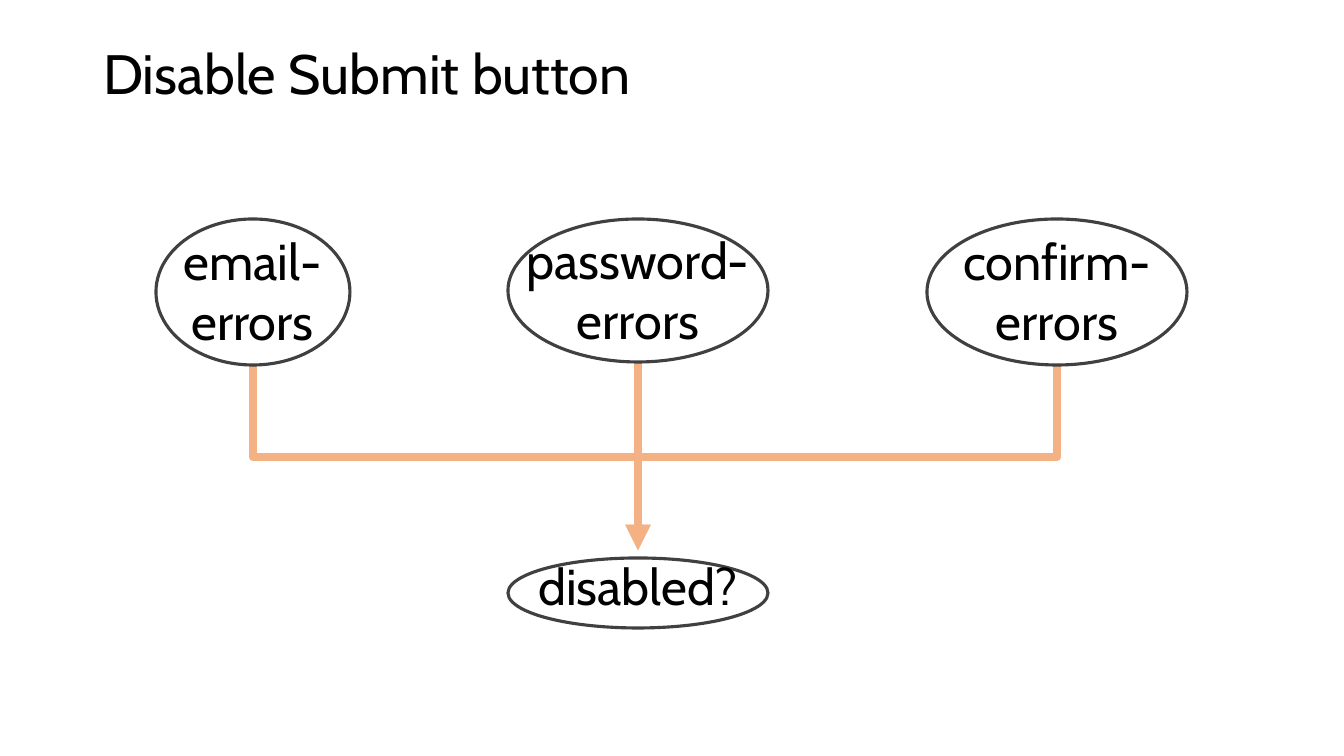
"""Build the slide showing which field errors disable the submit button."""
import pptx
import pptx.dml.color
import pptx.enum.shapes
import pptx.enum.text
import pptx.oxml.ns
import pptx.util
from lxml import etree

PX = 914400 / 100.8
FONT = "Cabin"
BLACK = pptx.dml.color.RGBColor(0x00, 0x00, 0x00)
WHITE = pptx.dml.color.RGBColor(0xFF, 0xFF, 0xFF)
OUTLINE = pptx.dml.color.RGBColor(0x40, 0x40, 0x40)
ORANGE = pptx.dml.color.RGBColor(0xF4, 0xB1, 0x83)

TARGET = (638, 550)
ERROR_FLOWS = [(638, 356), (1057, 364), (253, 364)]
NODES = [
    (["disabled?"], (508, 558, 260, 70), (520, 550, 236, 72), False),
    (["confirm-", "errors"], (927, 219, 260, 146), (939, 225, 236, 132), False),
    (["email-", "errors"], (156, 219, 194, 146), (168, 225, 169, 132), False),
    (["password-", "errors"], (508, 219, 260, 143), (516, 224, 244, 132), True),
]


def px(*lengths):
    """Convert pixel lengths to EMU."""
    return [pptx.util.Emu(round(length * PX)) for length in lengths]


def style_runs(paragraph, size):
    """Give every run of a paragraph the slide's font."""
    for run in paragraph.runs:
        run.font.name = FONT
        run.font.size = pptx.util.Pt(size)
        run.font.color.rgb = BLACK


def add_title(slide, wording):
    """Place and format the slide title."""
    title = slide.shapes.title
    title.left, title.top, title.width, title.height = px(93, 40, 1159, 74)
    frame = title.text_frame
    frame.text = wording
    frame.auto_size = pptx.enum.text.MSO_AUTO_SIZE.NONE
    frame.vertical_anchor = pptx.enum.text.MSO_ANCHOR.MIDDLE
    heading = frame.paragraphs[0]
    heading.alignment = pptx.enum.text.PP_ALIGN.LEFT
    heading.line_spacing = 0.9
    style_runs(heading, 39.6)


def add_flow(slide, start, end):
    """Draw an elbow arrow that leaves its start downwards."""
    (x1, y1), (x2, y2) = start, end
    run, drop = abs(x2 - x1), y2 - y1
    left, top = (x1 + x2 - drop) / 2, (y1 + y2 - run) / 2
    right, bottom = left + drop, top + run
    goes_left = x2 < x1
    near, far = (left, right) if goes_left else (right, left)
    flow = slide.shapes.add_connector(
        pptx.enum.shapes.MSO_CONNECTOR.ELBOW, *px(near, top, far, bottom))
    flow.line.color.rgb = ORANGE
    flow.line.width = pptx.util.Pt(6)
    qn = pptx.oxml.ns.qn
    properties = flow._element.spPr
    properties.find(qn("a:xfrm")).set("rot", "5400000" if goes_left else "16200000")
    etree.SubElement(properties.find(qn("a:ln")), qn("a:tailEnd"), type="triangle")
    etree.SubElement(properties, qn("a:effectLst"))


def add_node(slide, lines, oval_box, label_box, filled):
    """Group an oval with its centred label."""
    node = slide.shapes.add_group_shape()
    oval = node.shapes.add_shape(pptx.enum.shapes.MSO_SHAPE.OVAL, *px(*oval_box))
    oval.shadow.inherit = False
    if filled:
        oval.fill.solid()
        oval.fill.fore_color.rgb = WHITE
    else:
        oval.fill.background()
    oval.line.color.rgb = OUTLINE
    oval.line.width = pptx.util.Pt(2.25)

    frame = node.shapes.add_textbox(*px(*label_box)).text_frame
    frame.word_wrap = True
    frame.margin_left = frame.margin_right = 0
    frame.auto_size = pptx.enum.text.MSO_AUTO_SIZE.SHAPE_TO_FIT_TEXT
    frame.text = "\n".join(lines)
    for paragraph in frame.paragraphs:
        paragraph.alignment = pptx.enum.text.PP_ALIGN.CENTER
        style_runs(paragraph, 36)


def main():
    """Build and save the slide."""
    deck = pptx.Presentation()
    deck.slide_width, deck.slide_height = px(1344, 756)
    slide = deck.slides.add_slide(deck.slide_layouts[5])
    add_title(slide, "Disable Submit button")
    for start in ERROR_FLOWS:
        add_flow(slide, start, TARGET)
    for node in NODES:
        add_node(slide, *node)
    deck.save("out.pptx")


if __name__ == "__main__":
    main()
